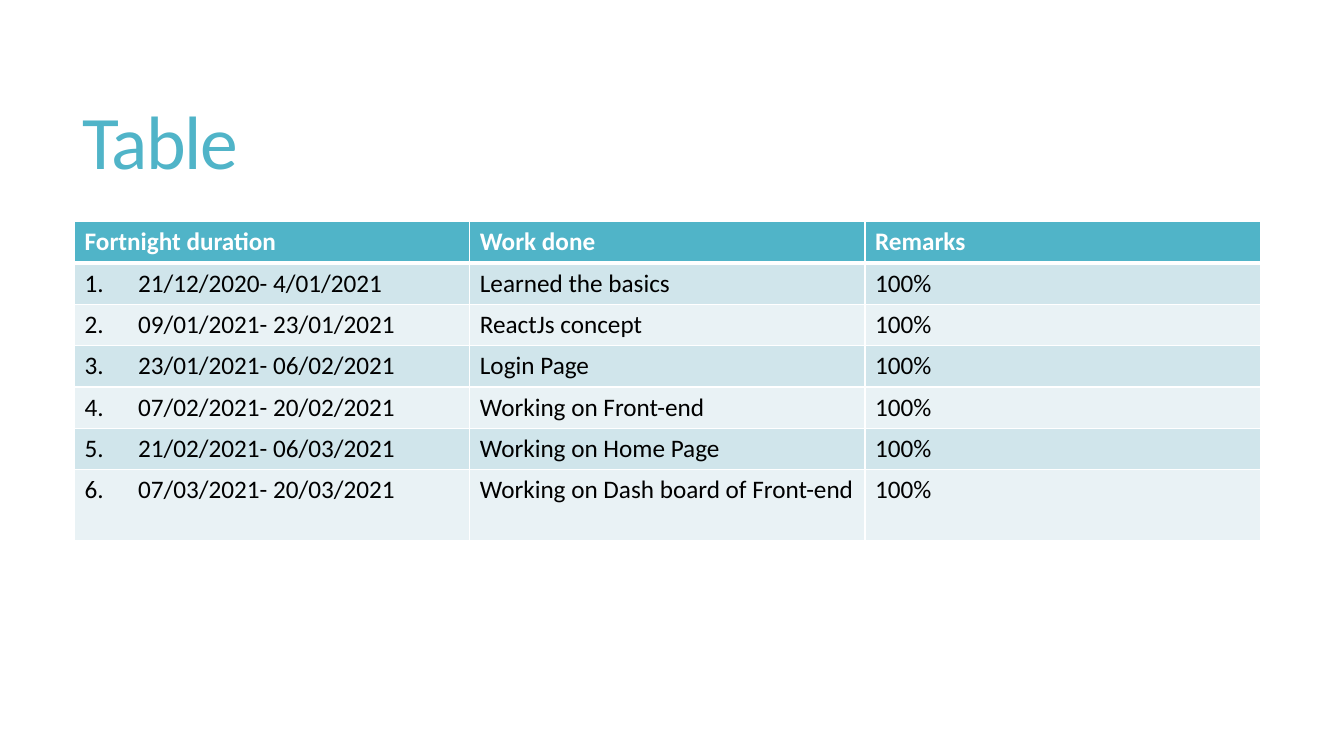
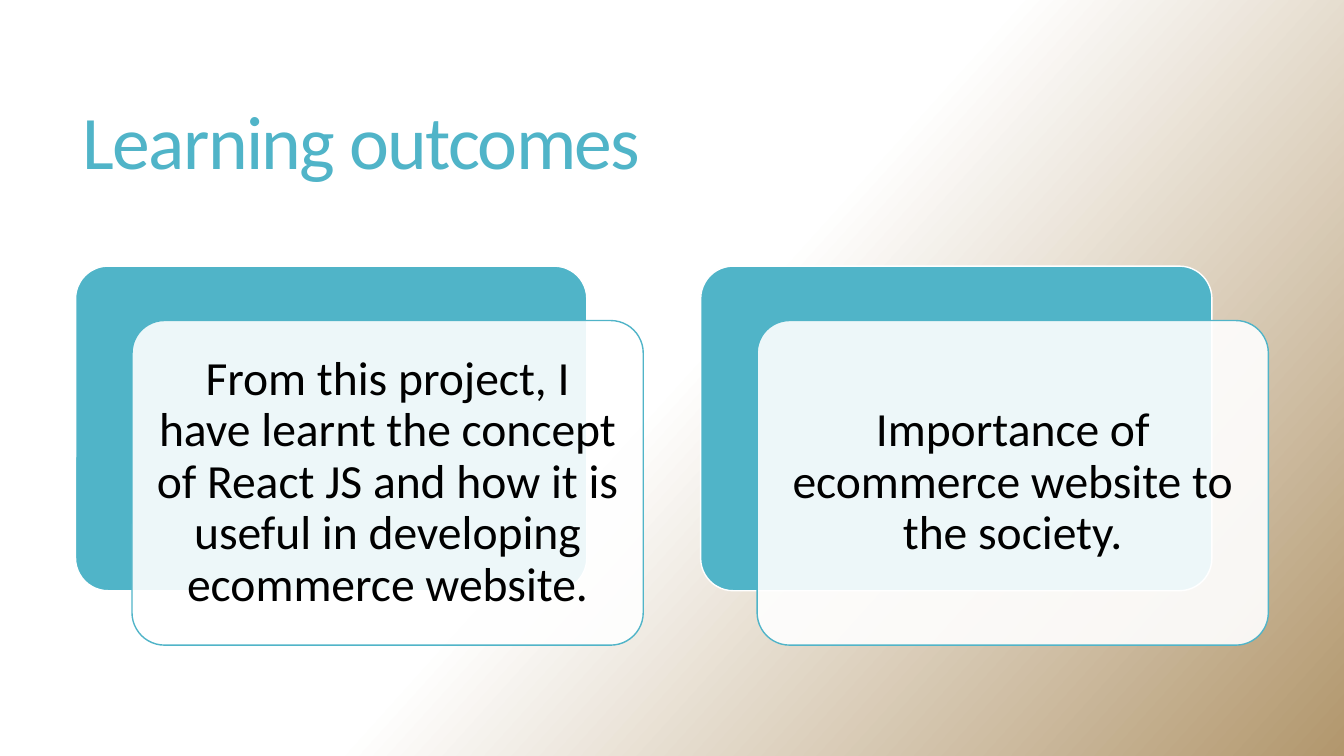
from copy import deepcopy

from lxml import etree
from pptx import Presentation
from pptx import util as u
from pptx.dml.color import RGBColor
from pptx.enum import shapes, text
from pptx.oxml.ns import qn

COLORS = {"accent": "50B4C8", "white": "FFFFFF", "black": "000000",
          "band": "D0E5EB", "pale": "E9F2F5", "sand": "B2976D"}
FONT = "Calibri"
TITLE_BOX = (0.72, 0.55, 11.78, 1.81)

TABLE_TITLE = "Table"
HEADERS = ("Fortnight duration", "Work done", "Remarks")
FORTNIGHTS = [
    ("21/12/2020- 4/01/2021", "Learned the basics", "100%"),
    ("09/01/2021- 23/01/2021", "ReactJs concept", "100%"),
    ("23/01/2021- 06/02/2021", "Login Page", "100%"),
    ("07/02/2021- 20/02/2021", "Working on Front-end", "100%"),
    ("21/02/2021- 06/03/2021", "Working on Home Page", "100%"),
    ("07/03/2021- 20/03/2021", "Working on Dash board of Front-end", "100%"),
]
TABLE_LEFT, TABLE_TOP = 0.74, 2.2
COLUMN_WIDTH, ROW_HEIGHT, LAST_ROW_HEIGHT = 3.92, 0.41, 0.7
NUMBER_INDENT = 0.53

OUTCOMES_TITLE = "Learning outcomes"
OUTCOMES = [
    "From this project, I have learnt the concept of React JS and how it is "
    "useful in developing ecommerce website.",
    "Importance of ecommerce website to the society.",
]
CARD_LEFT, CARD_TOP, CARD_PITCH = 0.75, 2.64, 6.2
CARD_WIDTH, CARD_HEIGHT = 5.07, 3.22
CARD_SHIFT_X, CARD_SHIFT_Y = 0.56, 0.54
GRADIENT = ((0, "white"), (0.5, "white"), (1, "sand"))
GRADIENT_ANGLE = 42


def rgb(name):
    return RGBColor.from_string(COLORS[name])


def inches(values):
    return [u.Inches(value) for value in values]


def set_all(target, **values):
    for name, value in values.items():
        setattr(target, name, value)


def write(frame, words, size, color, bold=False):
    para = frame.paragraphs[0]
    span = para.add_run()
    span.text = words
    set_all(span.font, name=FONT, size=u.Pt(size), bold=bold)
    span.font.color.rgb = rgb(color)
    return para


def style_titles(deck):
    layout = deck.slide_layouts.get_by_name("Title Only")
    title = layout.placeholders[0]
    set_all(title, **dict(zip(("left", "top", "width", "height"), inches(TITLE_BOX))))
    level = deck.slide_master.element.find(".//" + qn("p:titleStyle")).find(qn("a:lvl1pPr"))
    level.set("algn", "l")
    spacing = etree.Element(qn("a:lnSpc"))
    etree.SubElement(spacing, qn("a:spcPct"), val="85000")
    level.insert(0, spacing)
    letters = level.find(qn("a:defRPr"))
    letters.set("sz", "5400")
    letters.set("spc", "-120")
    letters.find(qn("a:latin")).set("typeface", FONT)
    fill = letters.find(qn("a:solidFill"))
    fill.clear()
    etree.SubElement(fill, qn("a:srgbClr"), val=COLORS["accent"])
    return layout


def add_page(deck, layout, title):
    page = deck.slides.add_slide(layout)
    page.shapes.title.text_frame.text = title
    return page


def add_borders(cell, bottom):
    properties = cell._tc.get_or_add_tcPr()
    for side, points in (("L", 1), ("R", 1), ("T", 1), ("B", bottom)):
        line = etree.SubElement(properties, qn("a:ln" + side), w=str(u.Pt(points)))
        fill = etree.SubElement(line, qn("a:solidFill"))
        etree.SubElement(fill, qn("a:srgbClr"), val=COLORS["white"])


def number(para, start):
    properties = para._p.get_or_add_pPr()
    indent = u.Inches(NUMBER_INDENT)
    properties.set("marL", str(indent))
    properties.set("indent", str(-indent))
    etree.SubElement(properties, qn("a:buAutoNum"), type="arabicPeriod", startAt=str(start))


def add_schedule(page):
    rows = [HEADERS, *FORTNIGHTS]
    heights = [ROW_HEIGHT] * len(FORTNIGHTS) + [LAST_ROW_HEIGHT]
    box = (TABLE_LEFT, TABLE_TOP, COLUMN_WIDTH * len(HEADERS), sum(heights))
    table = page.shapes.add_table(len(rows), len(HEADERS), *inches(box)).table
    for column in table.columns:
        column.width = u.Inches(COLUMN_WIDTH)
    for r, (row, height) in enumerate(zip(rows, heights)):
        header = r == 0
        table.rows[r].height = u.Inches(height)
        fill = "accent" if header else ("pale", "band")[r % 2]
        for c, words in enumerate(row):
            cell = table.cell(r, c)
            add_borders(cell, 3 if header else 1)
            cell.fill.solid()
            cell.fill.fore_color.rgb = rgb(fill)
            para = write(cell.text_frame, words, 18, "white" if header else "black", header)
            if c == 0 and not header:
                number(para, r)


def add_gradient(page):
    fill = page.background.fill
    fill.gradient()
    fill.gradient_angle = 360 - GRADIENT_ANGLE
    stops = page.element.find(".//" + qn("a:gsLst"))
    stops.append(deepcopy(stops[-1]))
    for stop, (position, color) in zip(fill.gradient_stops, GRADIENT):
        stop.position = position
        stop.color.rgb = rgb(color)


def add_card(page, left, top, fill, line):
    card = page.shapes.add_shape(shapes.MSO_SHAPE.ROUNDED_RECTANGLE,
                                 *inches((left, top, CARD_WIDTH, CARD_HEIGHT)))
    card.adjustments[0] = 0.1
    card.shadow.inherit = False
    card.fill.solid()
    card.fill.fore_color.rgb = rgb(fill)
    card.line.color.rgb = rgb(line)
    card.line.width = u.Pt(1)
    return card


def add_outcome(page, index, words):
    left = CARD_LEFT + index * CARD_PITCH
    add_card(page, left, CARD_TOP, "accent", "white")
    front = add_card(page, left + CARD_SHIFT_X, CARD_TOP + CARD_SHIFT_Y, "white", "accent")
    color = front._element.spPr.find(qn("a:solidFill"))[0]
    etree.SubElement(color, qn("a:alpha"), val="90000")
    frame = front.text_frame
    sides = ("left", "top", "right", "bottom")
    set_all(frame, word_wrap=True, vertical_anchor=text.MSO_ANCHOR.MIDDLE,
            **{"margin_" + side: u.Inches(0.14) for side in sides})
    para = write(frame, words, 34, "black")
    set_all(para, alignment=text.PP_ALIGN.CENTER, line_spacing=0.9)


def main():
    deck = Presentation()
    set_all(deck, slide_width=u.Inches(13.33), slide_height=u.Inches(7.5))
    layout = style_titles(deck)
    add_schedule(add_page(deck, layout, TABLE_TITLE))
    page = add_page(deck, layout, OUTCOMES_TITLE)
    add_gradient(page)
    for index, words in enumerate(OUTCOMES):
        add_outcome(page, index, words)
    deck.save("out.pptx")


if __name__ == "__main__":
    main()
